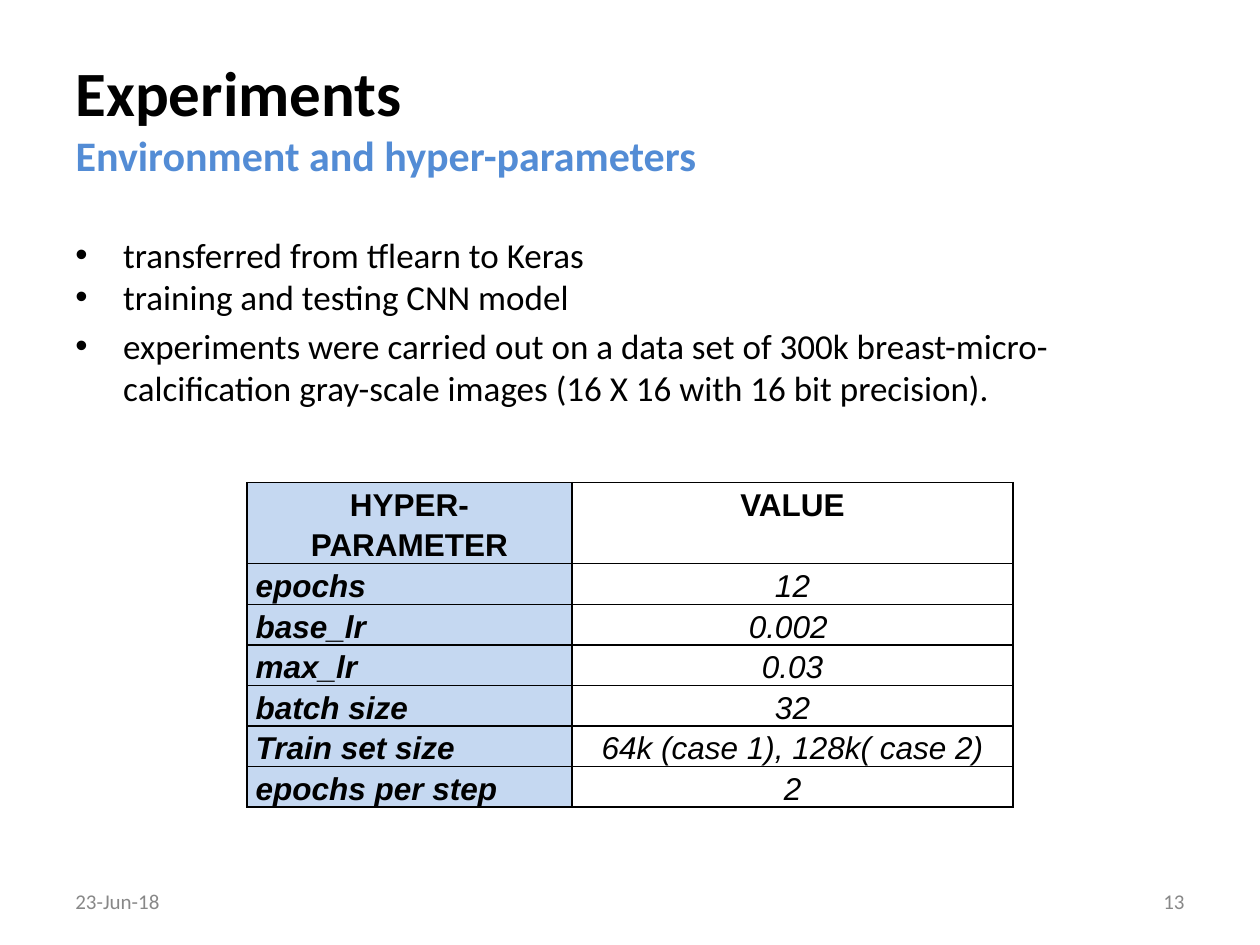
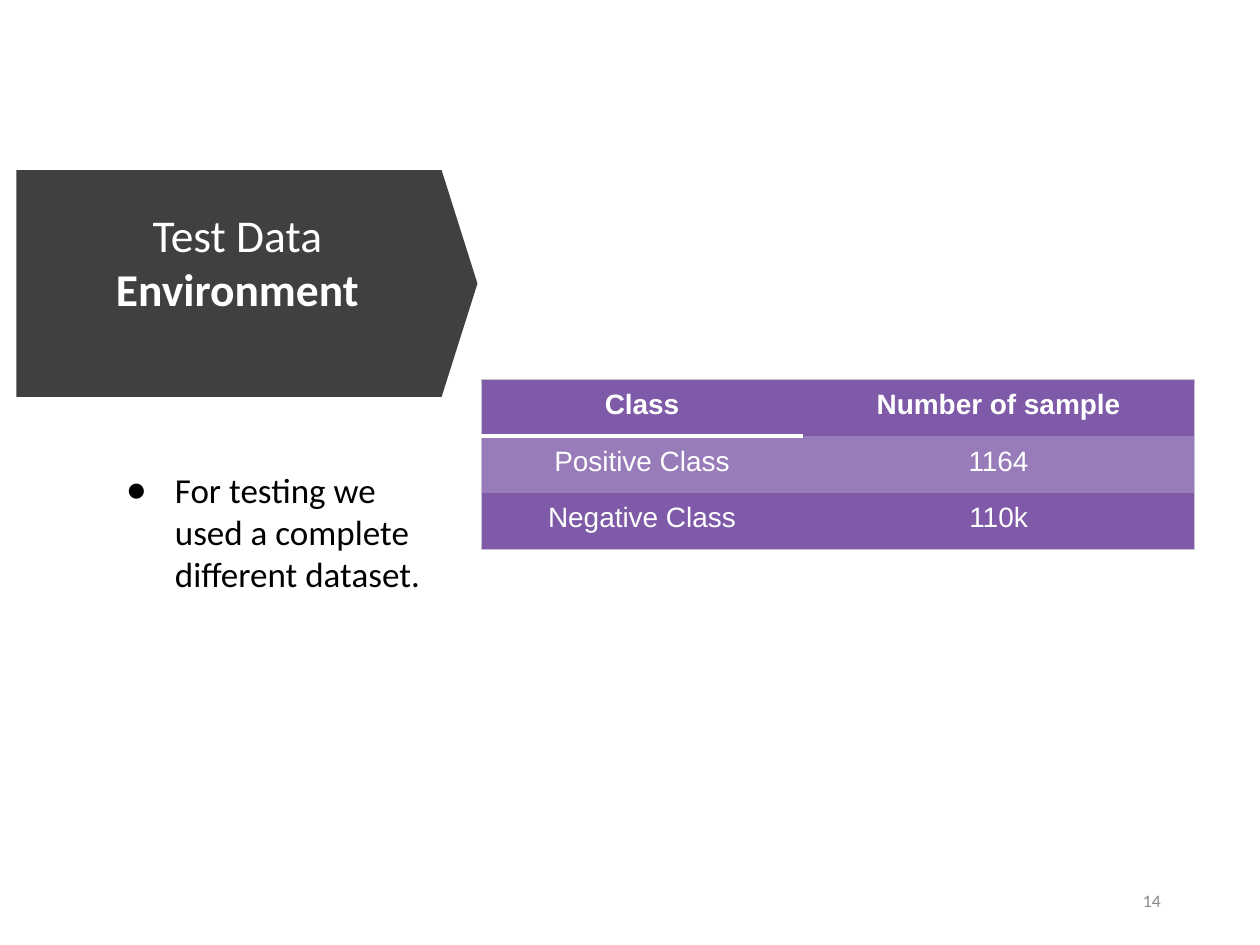
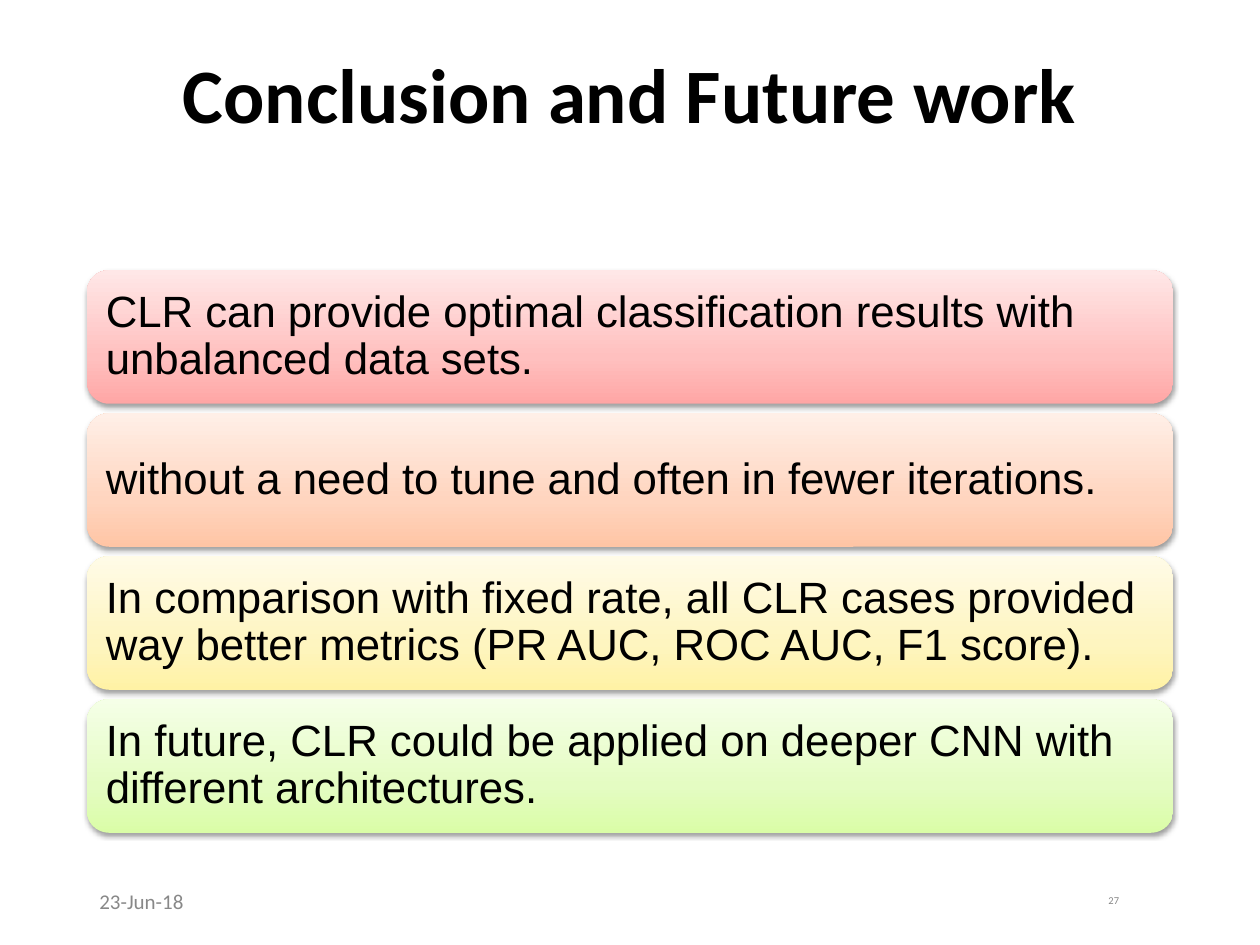
from copy import deepcopy
from dataclasses import dataclass

from lxml import etree
from pptx import Presentation
from pptx import util as u
from pptx.dml.color import RGBColor
from pptx.enum import shapes, text
from pptx.oxml.ns import qn

LEFT, CENTER, RIGHT = text.PP_ALIGN.LEFT, text.PP_ALIGN.CENTER, text.PP_ALIGN.RIGHT
TOP, MIDDLE = text.MSO_ANCHOR.TOP, text.MSO_ANCHOR.MIDDLE
NO_TABLE_STYLE = "{2D5ABB26-0587-4C30-8999-92F81FD0307C}"
DATE = "23-Jun-18"


@dataclass(frozen=True)
class Theme:
    heading: str = "Calibri"
    plain: str = "Arial"
    ink: str = "000000"
    white: str = "FFFFFF"
    muted: str = "888888"
    accent: str = "538CD5"
    banner: str = "404040"
    label_fill: str = "C5D8F1"
    purple: str = "7E5AA8"
    light_purple: str = "987BB9"
    outline: str = "C8C1D3"
    title: int = 36
    subtitle: int = 24
    banner_title: int = 26
    big_title: int = 44
    body: int = 20
    card: int = 25
    footer: int = 12


T = Theme()


def rgb(value):
    return RGBColor.from_string(value)


def grid(value):
    """One grid unit is a hundredth of the slide's width."""
    return u.Inches(value / 10)


def child(parent, tag, **attrs):
    return etree.SubElement(parent, qn(tag), {k: str(v) for k, v in attrs.items()})


class Deck:
    def __init__(self):
        self.prs = Presentation()
        self.prs.slide_width, self.prs.slide_height = grid(100), grid(75)
        self.slide = None

    # Slides and text
    def new_slide(self):
        self.slide = self.prs.slides.add_slide(self.prs.slide_layouts[5])

    def fill_text(self, tf, content, size, color=T.ink, font=T.heading, bold=False,
                  italic=False, align=LEFT, spacing=None):
        tf.text = content
        for p in tf.paragraphs:
            p.alignment = align
            p.line_spacing = spacing
            for r in p.runs:
                r.font.name, r.font.size = font, u.Pt(size)
                r.font.bold, r.font.italic = bold, italic
                r.font.color.rgb = rgb(color)

    def frame(self, sp, content, size, anchor=TOP, **style):
        tf = sp.text_frame
        tf.word_wrap = True
        tf.auto_size = text.MSO_AUTO_SIZE.NONE
        tf.vertical_anchor = anchor
        self.fill_text(tf, content, size, **style)
        return tf

    def title(self, at, content, size, **style):
        sp = self.slide.shapes.title
        sp.left, sp.top, sp.width, sp.height = map(grid, at)
        return self.frame(sp, content, size, **style)

    def textbox(self, at, content, size, **style):
        sp = self.slide.shapes.add_textbox(*map(grid, at))
        return self.frame(sp, content, size, **style)

    def footer(self, at, content, size=T.footer, align=LEFT):
        self.textbox(at, content, size, anchor=MIDDLE, color=T.muted, align=align)

    def bullets(self, at, items, char, indent, hang):
        tf = self.textbox(at, "\n".join(items), T.body)
        for p in tf.paragraphs:
            pPr = p._p.get_or_add_pPr()
            pPr.set("marL", str(grid(indent)))
            pPr.set("indent", str(-grid(hang)))
            child(pPr, "a:buFont", typeface=T.plain)
            child(pPr, "a:buChar", char=char)
        return tf

    # Shapes
    def shape(self, kind, at, fill=None):
        sp = self.slide.shapes.add_shape(kind, *map(grid, at))
        sp.shadow.inherit = False
        sp.line.fill.background()
        if fill:
            sp.fill.solid()
            sp.fill.fore_color.rgb = rgb(fill)
        else:
            sp.fill.background()
        return sp

    def card(self, at, content, colors):
        sp = self.shape(shapes.MSO_SHAPE.ROUNDED_RECTANGLE, at)
        sp.fill.gradient()
        sp.fill.gradient_angle = 90
        first = sp._element.spPr.find(".//" + qn("a:gs"))
        first.addnext(deepcopy(first))
        for stop, color, position in zip(sp.fill.gradient_stops, colors, (0, 0.35, 1)):
            stop.color.rgb = rgb(color)
            stop.position = position
        shadow = child(sp._element.spPr.find(qn("a:effectLst")), "a:outerShdw",
                       blurRad=u.Pt(3.1), dist=u.Pt(1.6), dir=5400000, rotWithShape=0)
        child(child(shadow, "a:srgbClr", val=T.ink), "a:alpha", val=38000)
        self.frame(sp, content, T.card, anchor=MIDDLE, font=T.plain, spacing=0.9)

    # Tables
    def table(self, at, widths, row_height, rows, pad, style):
        """style(row, column) gives the fill, the borders and the text style of a cell."""
        size = (sum(widths), row_height * len(rows))
        tb = self.slide.shapes.add_table(len(rows), len(widths), *map(grid, at + size)).table
        tb._tbl.tblPr.find(qn("a:tableStyleId")).text = NO_TABLE_STYLE
        for column, width in zip(tb.columns, widths):
            column.width = grid(width)
        for i, row in enumerate(rows):
            tb.rows[i].height = grid(row_height)
            for j, content in enumerate(row):
                cell = tb.cell(i, j)
                fill, borders, font = style(i, j)
                cell.margin_left = cell.margin_right = grid(pad[0])
                cell.margin_top = cell.margin_bottom = grid(pad[1])
                self.borders(cell, borders)
                if fill:
                    cell.fill.solid()
                    cell.fill.fore_color.rgb = rgb(fill)
                else:
                    cell.fill.background()
                self.fill_text(cell.text_frame, content, font=T.plain, **font)

    def borders(self, cell, sides):
        tcPr = cell._tc.get_or_add_tcPr()
        for side in "LRTB":
            if side in sides:
                color, width = sides[side]
                ln = child(tcPr, f"a:ln{side}", w=u.Pt(width))
                child(child(ln, "a:solidFill"), "a:srgbClr", val=color)


def experiments(deck):
    deck.new_slide()
    tf = deck.title((5, 3, 90, 12.5), "Experiments\vEnvironment and hyper-parameters",
                    T.title, anchor=MIDDLE, bold=True)
    subtitle = tf.paragraphs[0].runs[1].font
    subtitle.size, subtitle.color.rgb = u.Pt(T.subtitle), rgb(T.accent)
    deck.footer((5, 69.5, 23.3, 4), DATE)
    deck.footer((71.7, 69.5, 23.3, 4), "13", align=RIGHT)

    # Hyper-parameter table
    def style(i, j):
        font = dict(size=18, bold=i == 0 or j == 0, italic=i > 0, spacing=1.15,
                    align=LEFT if i and j == 0 else CENTER)
        return (None if j else T.label_fill), dict.fromkeys("LRTB", (T.ink, 1)), font

    rows = [("HYPER-PARAMETER", "VALUE"), ("epochs", "12"), ("base_lr", "0.002 "),
            ("max_lr", "0.03"), ("batch size", "32"),
            ("Train set size", "64k (case 1), 128k( case 2)"), ("epochs per step", "2")]
    deck.table((19.6, 38.3), (25.8, 35), 2.5, rows, (0.7, 0), style)

    tf = deck.bullets((5, 18, 90, 49.5), [
        "transferred from tflearn to Keras",
        "training and testing CNN model",
        "experiments were carried out on a data set of 300k breast-micro-calcification "
        "gray-scale images (16 X 16 with 16 bit precision)."], "•", 3.8, 3.8)
    tf.paragraphs[2].space_before = u.Pt(4)


def test_data(deck):
    deck.new_slide()
    # Banner, sent behind the title
    arrow = deck.shape(shapes.MSO_SHAPE.DOWN_ARROW, (10.6, 4.2, 18, 36.6), T.banner)
    arrow.rotation = 270
    arrow.adjustments[0], arrow.adjustments[1] = 1, 0.158
    deck.slide.shapes.title._element.addprevious(arrow._element)
    tf = deck.title((7.9, 13.2, 21.9, 19.5), "Test Data\nEnvironment", T.banner_title,
                    anchor=MIDDLE, color=T.white, align=CENTER)
    tf.margin_bottom = grid(4.9)
    tf.paragraphs[1].runs[0].font.bold = True

    tf = deck.bullets((7.9, 36.7, 28.6, 26.5),
                      ["For testing we used a complete different dataset."], "●", 5, 3.9)
    tf.paragraphs[0].space_before = u.Pt(6.4)
    deck.footer((84.7, 69.5, 8.4, 4), "14", size=10, align=RIGHT)

    # Class table
    rows = [("Class", "Number of sample"), ("Positive Class", "1164"),
            ("Negative Class", "110k")]

    def style(i, j):
        edges = {"L": j == 0, "R": j == 1, "T": i == 0, "B": i == len(rows) - 1}
        borders = {side: (T.outline, 0.75) for side, outer in edges.items() if outer}
        if i == j == 0:
            borders["B"] = (T.white, 3)
        font = dict(size=16, color=T.white, bold=i == 0, align=CENTER)
        return (T.light_purple if i == 1 else T.purple), borders, font

    deck.table((38.2, 30.1), (25.5, 31.1), 4.5, rows, (0.8, 0.8), style)


def conclusion(deck):
    deck.new_slide()
    deck.title((6.9, 4, 86.2, 14.5), "Conclusion and Future work", T.big_title,
               bold=True, align=CENTER, spacing=0.9)
    deck.footer((6.9, 69.5, 22.5, 4), DATE)
    oval = deck.shape(shapes.MSO_SHAPE.OVAL, (70.6, 69.5, 22.5, 4))
    deck.frame(oval, "27", 6, anchor=MIDDLE, color=T.muted, align=RIGHT, spacing=0.9)

    # Stack of cards
    cards = [
        ("CLR can provide optimal classification results with unbalanced data sets.",
         ("FFA6A5", "FFC0BF", "FFE7E7")),
        ("without a need to tune and often in fewer iterations.",
         ("FFC5A5", "FFD5BF", "FFEFE7")),
        ("In comparison with fixed rate, all CLR cases provided way better metrics "
         "(PR AUC, ROC AUC, F1 score).", ("FFF2A5", "FEF5C0", "FFFBE7")),
        ("In future, CLR could be applied on deeper CNN with different architectures.",
         ("DAFDA7", "E4FCC2", "F5FFE7")),
    ]
    for i, (content, colors) in enumerate(cards):
        deck.card((6.9, 21.45 + 11.35 * i, 86.2, 10.6), content, colors)


def main():
    deck = Deck()
    for build in (experiments, test_data, conclusion):
        build(deck)
    deck.prs.save("out.pptx")


if __name__ == "__main__":
    main()
